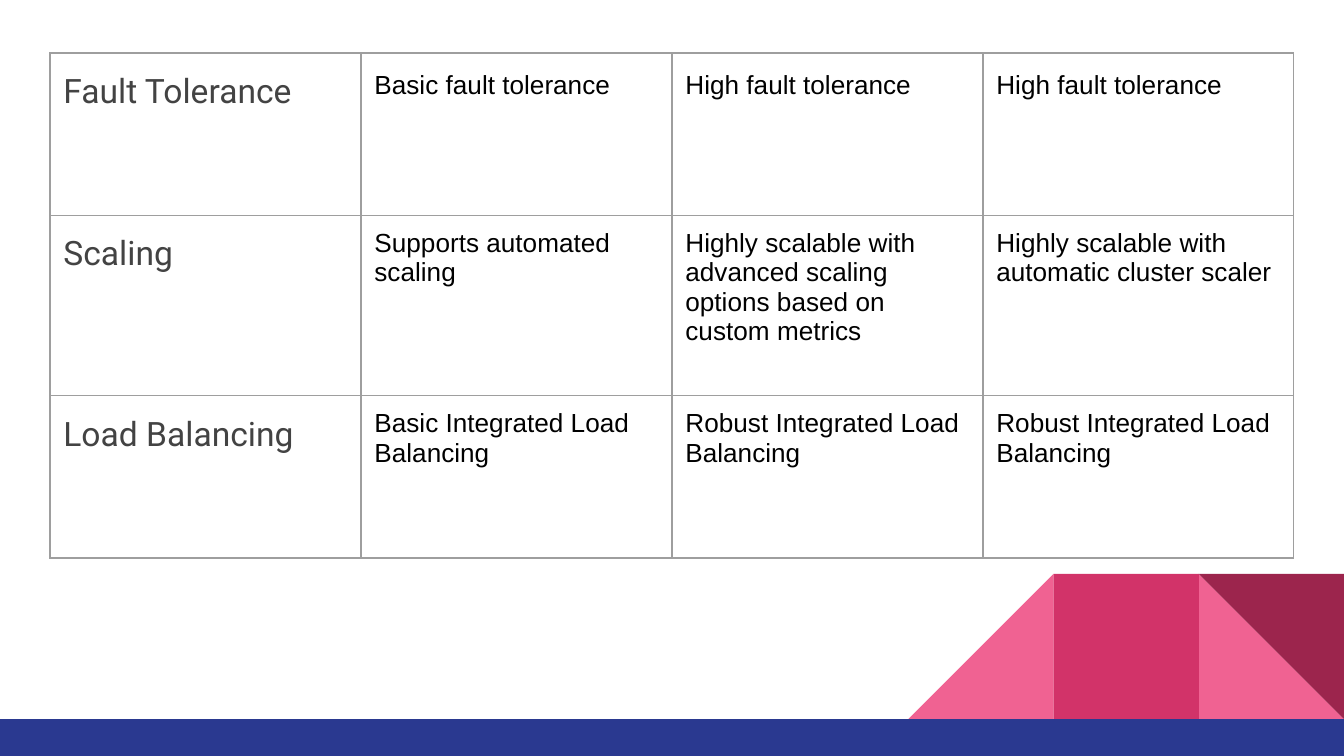
from lxml import etree
from pptx import Presentation
from pptx.dml.color import RGBColor
from pptx.enum import shapes
from pptx.oxml import ns
from pptx.util import Pt

PINK = RGBColor(0xF0, 0x62, 0x92)
ROSE = RGBColor(0xD2, 0x33, 0x69)
WINE = RGBColor(0x9C, 0x25, 0x4D)
NAVY = RGBColor(0x2A, 0x39, 0x90)
GREY = RGBColor(0x43, 0x43, 0x43)
BLACK = RGBColor(0, 0, 0)
BORDER = RGBColor(0x9E, 0x9E, 0x9E)

WIDTH, HEIGHT = 720, 405
BAND_TOP = 385.2
TILE = 77.76

ROWS = [
    ("Fault Tolerance", "Basic fault tolerance", "High fault tolerance",
     "High fault tolerance"),
    ("Scaling", "Supports automated scaling",
     "Highly scalable with advanced scaling options based on custom metrics",
     "Highly scalable with automatic cluster scaler"),
    ("Load Balancing", "Basic Integrated Load Balancing",
     "Robust Integrated Load Balancing", "Robust Integrated Load Balancing"),
]
ROW_HEIGHTS = [87, 96.6, 87]
COL_WIDTH = 166.6


class Deck:
    """Holds the style and the current slide."""
    label_font = ("Roboto", 18, GREY)
    body_font = ("Arial", 14, BLACK)
    inset = Pt(7.2)
    border_width = Pt(0.75)

    def __init__(self, prs):
        self.s = prs.slides.add_slide(prs.slide_layouts[6])

    def shape(self, kind, x, y, w, h, color, rotation=0, mirrored=False):
        sp = self.s.shapes.add_shape(kind, Pt(x), Pt(y), Pt(w), Pt(h))
        sp.shadow.inherit = False
        sp.fill.solid()
        sp.fill.fore_color.rgb = color
        sp.line.fill.background()
        sp.rotation = rotation
        if mirrored:
            sp._element.spPr.xfrm.set("flipH", "1")

    def borders(self, cell):
        tc_pr = cell._tc.get_or_add_tcPr()
        for i, side in enumerate(("lnL", "lnR", "lnT", "lnB")):
            ln = etree.Element(ns.qn(f"a:{side}"), w=str(self.border_width))
            fill = etree.SubElement(ln, ns.qn("a:solidFill"))
            etree.SubElement(fill, ns.qn("a:srgbClr"), val=str(BORDER))
            tc_pr.insert(i, ln)

    def cell(self, cell, text, is_label, spacing):
        cell.fill.background()
        cell.margin_left = cell.margin_right = self.inset
        cell.margin_top = cell.margin_bottom = self.inset
        cell.text_frame.text = text
        p = cell.text_frame.paragraphs[0]
        p.line_spacing = spacing
        if is_label:
            p.space_after = Pt(12)
        font = p.runs[0].font
        name, size, font.color.rgb = self.label_font if is_label else self.body_font
        font.name, font.size = name, Pt(size)
        self.borders(cell)

    def table(self, x, y, rows, heights, col_width):
        n_cols = len(rows[0])
        table = self.s.shapes.add_table(
            len(rows), n_cols, Pt(x), Pt(y),
            Pt(col_width * n_cols), Pt(sum(heights))).table
        table.first_row = table.horz_banding = False
        for col in table.columns:
            col.width = Pt(col_width)
        for i, (row, height) in enumerate(zip(rows, heights)):
            table.rows[i].height = Pt(height)
            for j, text in enumerate(row):
                # Labels and the first row are set wider than the other text
                spacing = 1.15 if i == 0 or j == 0 else 1.0
                self.cell(table.cell(i, j), text, j == 0, spacing)


def main():
    prs = Presentation()
    prs.slide_width, prs.slide_height = Pt(WIDTH), Pt(HEIGHT)
    deck = Deck(prs)

    # Corner decoration: three tiles wide, flush right, resting on the band
    kind = shapes.MSO_SHAPE
    top = BAND_TOP - TILE
    left, middle, right = (WIDTH - n * TILE for n in (3, 2, 1))
    deck.shape(kind.RIGHT_TRIANGLE, right, top, TILE, TILE, PINK)
    deck.shape(kind.RIGHT_TRIANGLE, left, top, TILE, TILE, PINK, mirrored=True)
    deck.shape(kind.RECTANGLE, middle, top, TILE, TILE, ROSE)
    deck.shape(kind.RIGHT_TRIANGLE, right, top, TILE, TILE, WINE, rotation=180)

    # Bottom band
    deck.shape(kind.RECTANGLE, 0, BAND_TOP, WIDTH, HEIGHT - BAND_TOP, NAVY)

    # Comparison table
    deck.table(26.8, 28.4, ROWS, ROW_HEIGHTS, COL_WIDTH)

    prs.save("out.pptx")


if __name__ == "__main__":
    main()
